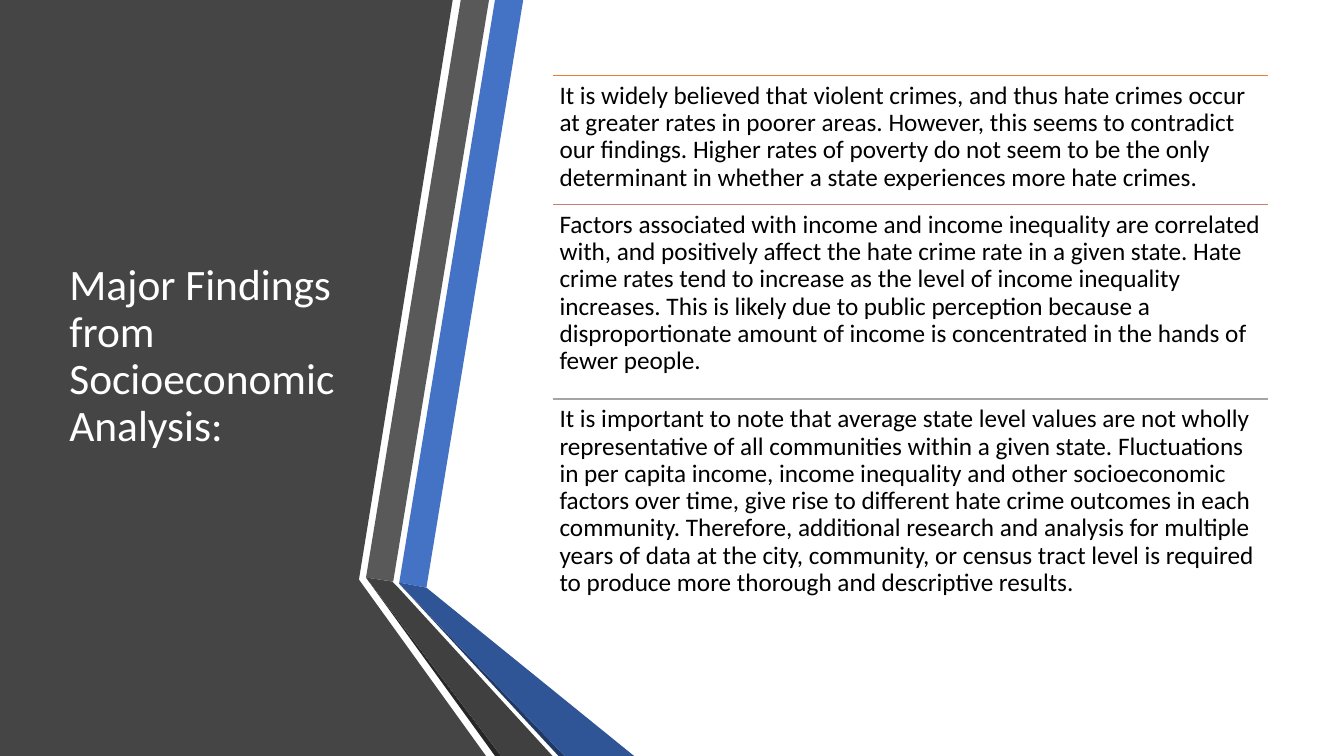
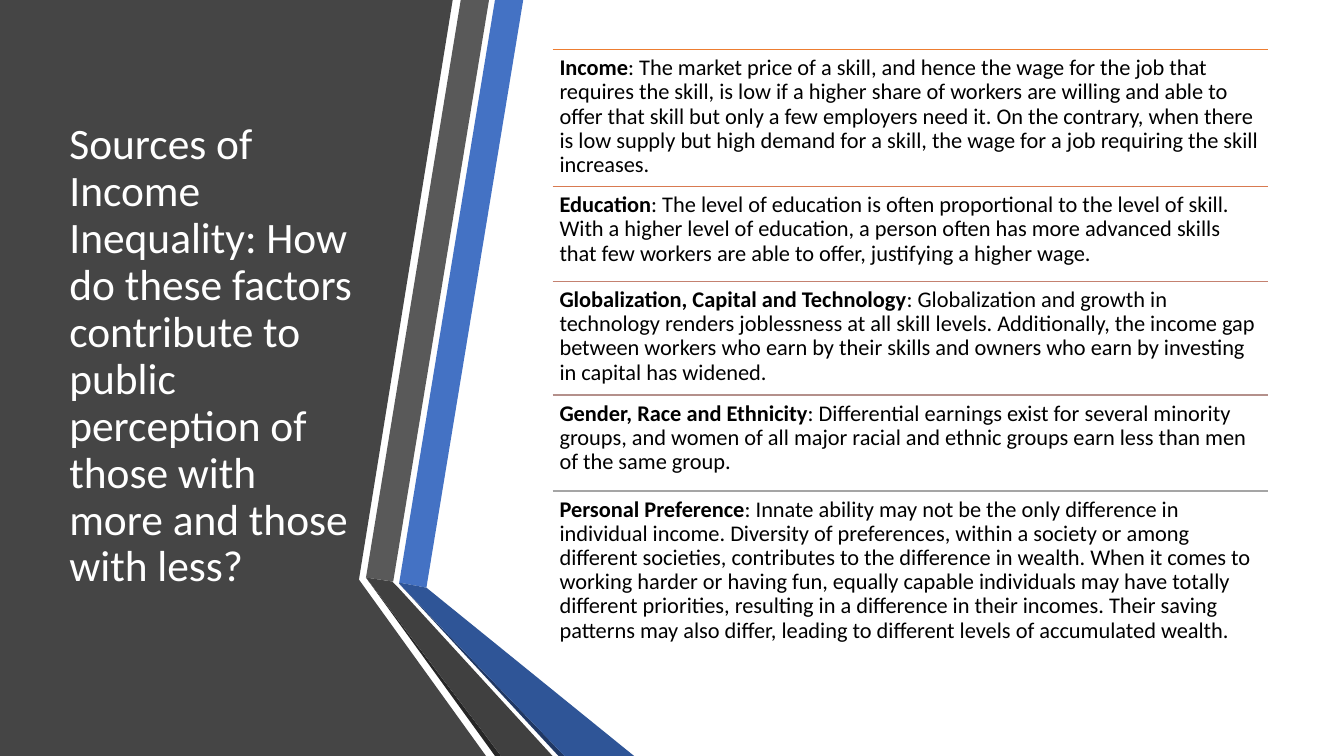
from dataclasses import dataclass

import lxml.etree
import pptx
import pptx.dml.color
import pptx.enum.shapes
import pptx.enum.text
import pptx.oxml.ns
import pptx.presentation
import pptx.shapes.autoshape
import pptx.slide
import pptx.util

EMU_PER_PX = 9144
SLIDE_WIDTH, SLIDE_HEIGHT = 1333, 750
FONT = "Calibri"
LIST_LEFT, LIST_WIDTH = 548, 710

COLORS = {
    "panel": "454545",
    "blue": "4472C4",
    "gray": "595959",
    "gray_edge": "262626",
    "blue_edge": "203864",
    "blue_fold": "2F5597",
    "gray_fold": "404040",
    "title": "FFFFFF",
    "body": "000000",
    "orange": "ED7D31",
    "copper": "D87A51",
    "clay": "C48170",
    "taupe": "B4908B",
    "silver": "A5A5A5",
}


@dataclass(frozen=True)
class Band:
    color: str
    points: tuple[tuple[int, int], ...]


@dataclass(frozen=True)
class Finding:
    top: int
    rule_color: str
    text: str
    heading: str = ""


@dataclass(frozen=True)
class Page:
    title: str
    text_size: int
    bottom: int
    findings: tuple[Finding, ...]


BANDS = (
    Band("panel", ((0, 0), (449, 0), (356, 575), (482, 750), (0, 750))),
    Band("blue", ((396, 578), (423, 583), (519, 0), (491, 0))),
    Band("gray", ((485, 0), (457, 0), (363, 573), (390, 577))),
    Band("gray_edge", ((363, 573), (491, 750), (497, 750))),
    Band("blue_edge", ((396, 579), (554, 750), (560, 750))),
    Band("blue_fold", ((396, 579), (560, 750), (629, 750), (423, 583), (396, 578))),
    Band("gray_fold", ((548, 750), (395, 583), (389, 577), (363, 573), (497, 750))),
)

PAGES = (
    Page("Major Findings from Socioeconomic Analysis:", 18, 633, (
        Finding(75, "orange",
                "It is widely believed that violent crimes, and thus hate crimes occur at greater "
                "rates in poorer areas. However, this seems to contradict our findings. Higher rates "
                "of poverty do not seem to be the only determinant in whether a state experiences "
                "more hate crimes."),
        Finding(203, "clay",
                "Factors associated with income and income inequality are correlated with, and "
                "positively affect the hate crime rate in a given state. Hate crime rates tend to "
                "increase as the level of income inequality increases. This is likely due to public "
                "perception because a disproportionate amount of income is concentrated in the hands "
                "of fewer people."),
        Finding(396, "silver",
                "It is important to note that average state level values are not wholly "
                "representative of all communities within a given state. Fluctuations in per capita "
                "income, income inequality and other socioeconomic factors over time, give rise to "
                "different hate crime outcomes in each community. Therefore, additional research and "
                "analysis for multiple years of data at the city, community, or census tract level is "
                "required to produce more thorough and descriptive results."),
    )),
    Page("Sources of Income Inequality: How do these factors contribute to public perception of "
         "those with more and those with less?", 16, 660, (
        Finding(49, "orange",
                ": The market price of a skill, and hence the wage for the job that requires the "
                "skill, is low if a higher share of workers are willing and able to offer that skill "
                "but only a few employers need it. On the contrary, when there is low supply but high "
                "demand for a skill, the wage for a job requiring the skill increases.",
                "Income"),
        Finding(185, "copper",
                ": The level of education is often proportional to the level of skill. With a higher "
                "level of education, a person often has more advanced skills that few workers are "
                "able to offer, justifying a higher wage.",
                "Education"),
        Finding(279, "clay",
                ": Globalization and growth in technology renders joblessness at all skill levels. "
                "Additionally, the income gap between workers who earn by their skills and owners who "
                "earn by investing in capital has widened.",
                "Globalization, Capital and Technology"),
        Finding(392, "taupe",
                ": Differential earnings exist for several minority groups, and women of all major "
                "racial and ethnic groups earn less than men of the same group.",
                "Gender, Race and Ethnicity"),
        Finding(487, "silver",
                ": Innate ability may not be the only difference in individual income. Diversity of "
                "preferences, within a society or among different societies, contributes to the "
                "difference in wealth. When it comes to working harder or having fun, equally capable "
                "individuals may have totally different priorities, resulting in a difference in "
                "their incomes. Their saving patterns may also differ, leading to different levels of "
                "accumulated wealth.",
                "Personal Preference"),
    )),
)


def px(length: int) -> pptx.util.Emu:
    return pptx.util.Emu(length * EMU_PER_PX)


def rgb(name: str) -> pptx.dml.color.RGBColor:
    return pptx.dml.color.RGBColor.from_string(COLORS[name])


def add_text(slide: pptx.slide.Slide, text: str, *, left: int, top: int, width: int, height: int,
             size: int, color: str, heading: str = "", inset_x: int = 7, inset_y: int = 7,
             anchor: pptx.enum.text.MSO_ANCHOR = pptx.enum.text.MSO_ANCHOR.TOP,
             ) -> pptx.shapes.autoshape.Shape:
    box = slide.shapes.add_textbox(px(left), px(top), px(width), px(height))
    frame = box.text_frame
    frame.word_wrap = True
    frame.vertical_anchor = anchor
    frame.margin_left = frame.margin_right = px(inset_x)
    frame.margin_top = frame.margin_bottom = px(inset_y)
    para = frame.paragraphs[0]
    para.line_spacing = 0.9
    for content, bold in ((heading, True), (text, False)):
        if content:
            span = para.add_run()
            span.text = content
            span.font.name = FONT
            span.font.size = pptx.util.Pt(size)
            span.font.bold = bold
            span.font.color.rgb = rgb(color)
    return box


def add_band(slide: pptx.slide.Slide, band: Band) -> None:
    start, *others = band.points
    builder = slide.shapes.build_freeform(*start, scale=EMU_PER_PX)
    builder.add_line_segments(others, close=True)
    shape = builder.convert_to_shape()
    shape.shadow.inherit = False
    shape.fill.solid()
    shape.fill.fore_color.rgb = rgb(band.color)
    shape.line.fill.background()


def add_rule(slide: pptx.slide.Slide, top: int, color: str) -> None:
    rule = slide.shapes.add_connector(
        pptx.enum.shapes.MSO_CONNECTOR.STRAIGHT,
        px(LIST_LEFT), px(top), px(LIST_LEFT + LIST_WIDTH), px(top))
    rule.line.color.rgb = rgb(color)
    rule.line.width = pptx.util.Pt(1)
    lxml.etree.SubElement(rule._element.spPr, pptx.oxml.ns.qn("a:effectLst"))


def add_page(deck: pptx.presentation.Presentation, page: Page) -> None:
    slide = deck.slides.add_slide(deck.slide_layouts[6])
    for band in BANDS:
        add_band(slide, band)
    add_text(slide, page.title, left=59, top=75, width=304, height=558, size=31, color="title",
             inset_x=10, inset_y=5, anchor=pptx.enum.text.MSO_ANCHOR.MIDDLE)
    bottoms = [finding.top for finding in page.findings[1:]] + [page.bottom]
    for finding, bottom in zip(page.findings, bottoms):
        add_rule(slide, finding.top, finding.rule_color)
        add_text(slide, finding.text, heading=finding.heading, left=LIST_LEFT, top=finding.top,
                 width=LIST_WIDTH, height=bottom - finding.top, size=page.text_size, color="body")


def main() -> None:
    deck = pptx.Presentation()
    deck.slide_width, deck.slide_height = px(SLIDE_WIDTH), px(SLIDE_HEIGHT)
    for page in PAGES:
        add_page(deck, page)
    deck.save("out.pptx")


if __name__ == "__main__":
    main()
